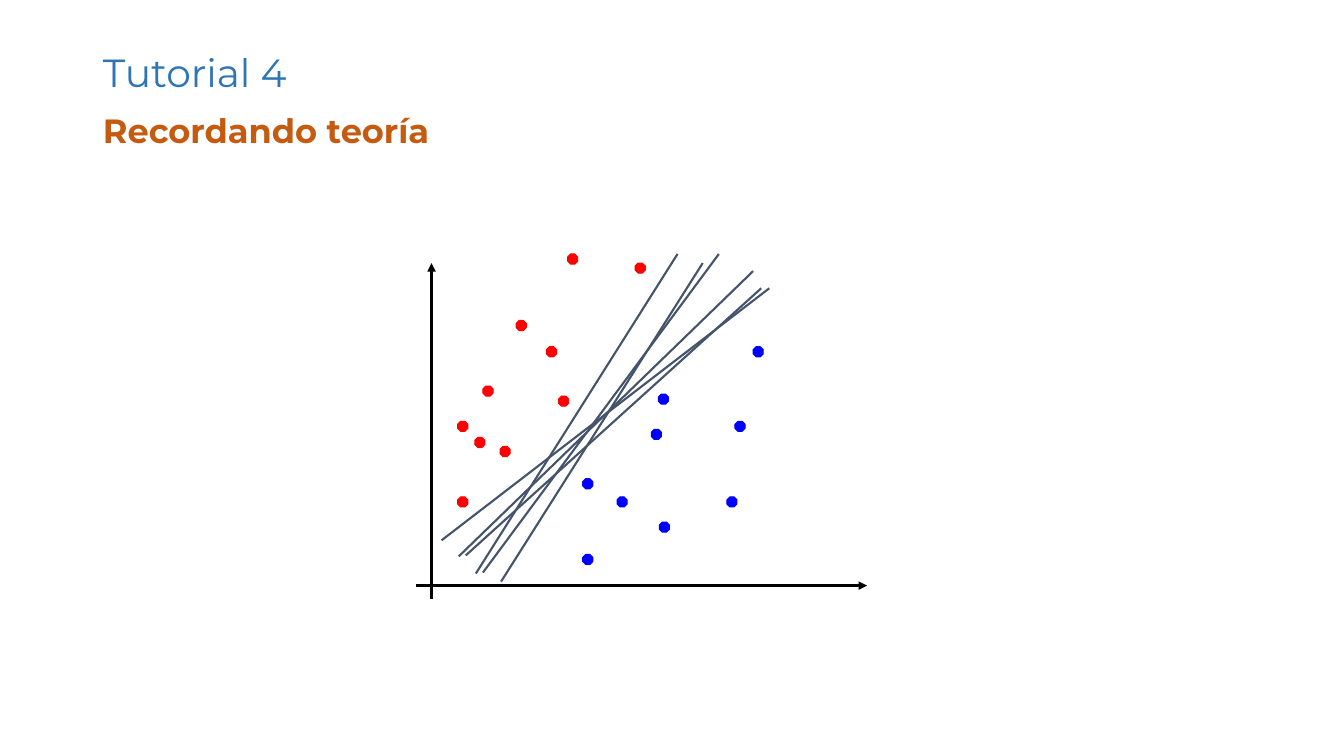
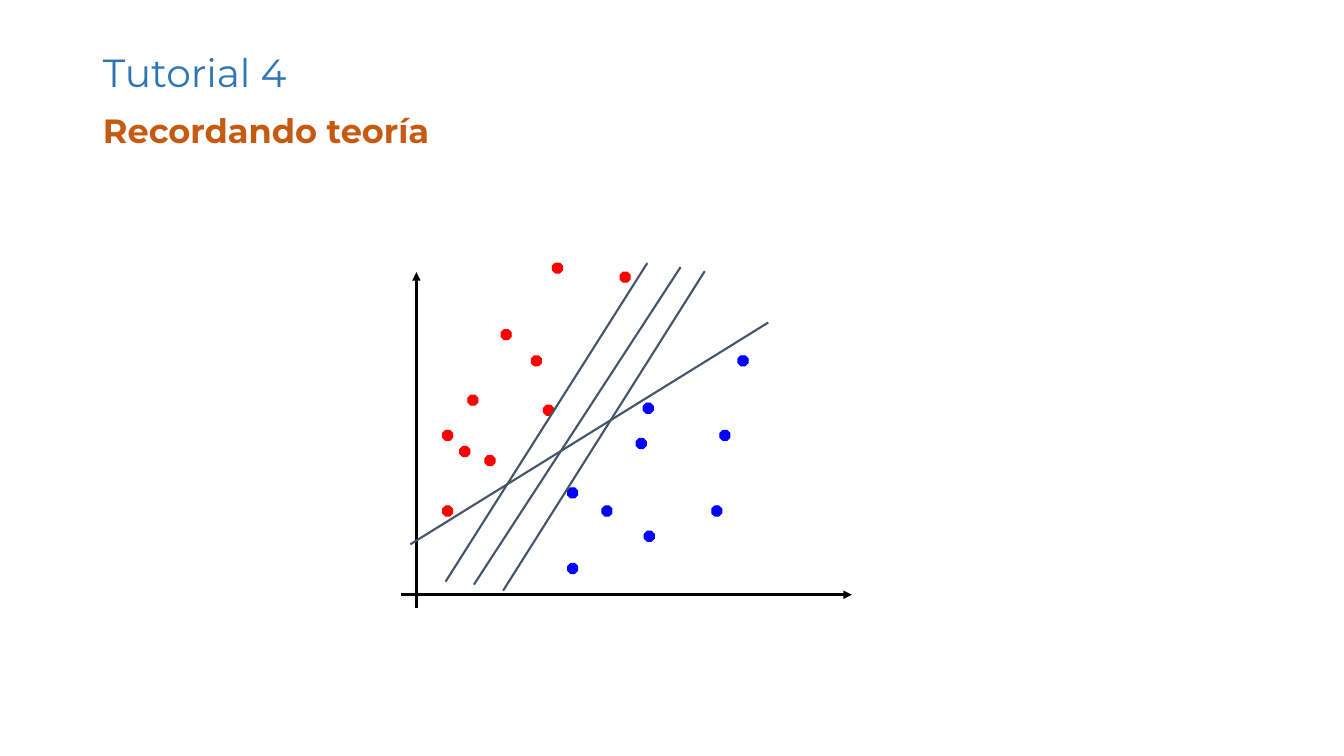
from pptx import Presentation
from pptx.dml.color import RGBColor
from pptx.enum import shapes, text
from pptx.oxml.ns import qn
from pptx.util import Inches, Pt
from lxml import etree

HUES = {"title": "2E75B6", "topic": "C55A11", "axis": "000000",
        "red": "FF0000", "blue": "0000FF", "split": "44546A"}
FONT = "Montserrat"
DOT = 0.1
AXES = [(0.15, 3.42, 0.15, 0.09), (0, 3.29, 4.47, 3.29)]
DOTS = {
    "red": [(1.29, 0.92), (0.66, 1.31), (0.83, 1.91), (0.41, 2.41), (0.99, 0.66),
            (0.41, 1.66), (0.58, 1.82), (1.41, 1.41), (1.5, 0), (2.17, 0.09)],
    "blue": [(2.4, 1.39), (1.99, 2.41), (3.08, 2.41), (1.65, 2.98), (2.33, 1.74),
             (1.65, 2.23), (2.41, 2.66), (3.16, 1.66), (3.34, 0.92)],
}
PLOTS = [
    ((4.13, 2.52), [(0.49, 2.99, 3.42, 0.34), (0.66, 3.16, 3, 0),
                    (0.25, 2.84, 3.5, 0.34), (0.84, 3.25, 2.84, 0.09),
                    (0.59, 3.17, 2.59, 0), (0.42, 3, 3.34, 0.17)]),
    ((3.98, 2.61), [(0.72, 3.19, 2.77, 0.04), (0.09, 2.79, 3.64, 0.59),
                    (1.01, 3.25, 3.01, 0.08), (0.44, 3.16, 2.44, 0)]),
]


def hue(name):
    return RGBColor.from_string(HUES[name])


def write(holder, box, words, size, color, bold=False):
    holder.left, holder.top, holder.width, holder.height = map(Inches, box)
    frame = holder.text_frame
    frame.text = words
    para = frame.paragraphs[0]
    para.alignment = text.PP_ALIGN.LEFT
    para.line_spacing = 0.9
    font = para.font
    font.name, font.size, font.bold = FONT, Pt(size), bold
    font.color.rgb = hue(color)
    return para


def head(slide):
    title, body = slide.placeholders
    write(title, (0.92, 0.4, 11.5, 0.69), "Tutorial 4", 28, "title")
    para = write(body, (0.92, 1.09, 11.5, 0.9), "Recordando teoría", 24, "topic", True)
    para.space_before = Pt(10)
    props = para._p.get_or_add_pPr()
    props.set("marL", "0")
    props.set("indent", "0")
    mark = etree.Element(qn("a:buNone"))
    props.find(qn("a:spcBef")).addnext(mark)


def line(slide, spot, ends, color, width, arrow=False):
    left, top = spot
    x1, y1, x2, y2 = ends
    rule = slide.shapes.add_connector(
        shapes.MSO_CONNECTOR.STRAIGHT, Inches(left + x1), Inches(top + y1),
        Inches(left + x2), Inches(top + y2))
    rule.line.color.rgb = hue(color)
    rule.line.width = Pt(width)
    if arrow:
        etree.SubElement(rule.line._get_or_add_ln(), qn("a:tailEnd"), type="triangle")
    etree.SubElement(rule._element.spPr, qn("a:effectLst"))


def dot(slide, spot, place, color):
    mark = slide.shapes.add_shape(
        shapes.MSO_SHAPE.OCTAGON, Inches(spot[0] + place[0]),
        Inches(spot[1] + place[1]), Inches(DOT), Inches(DOT))
    mark.shadow.inherit = False
    mark.fill.solid()
    mark.fill.fore_color.rgb = mark.line.color.rgb = hue(color)
    mark.line.width = Pt(0.75)


def plot(slide, spot, splits):
    for ends in AXES:
        line(slide, spot, ends, "axis", 2, True)
    for color, places in DOTS.items():
        for place in places:
            dot(slide, spot, place, color)
    for ends in splits:
        line(slide, spot, ends, "split", 1.5)


def main():
    deck = Presentation()
    deck.slide_width, deck.slide_height = Inches(13.33), Inches(7.5)
    for spot, splits in PLOTS:
        slide = deck.slides.add_slide(deck.slide_layouts[1])
        head(slide)
        plot(slide, spot, splits)
    deck.save("out.pptx")


if __name__ == "__main__":
    main()
